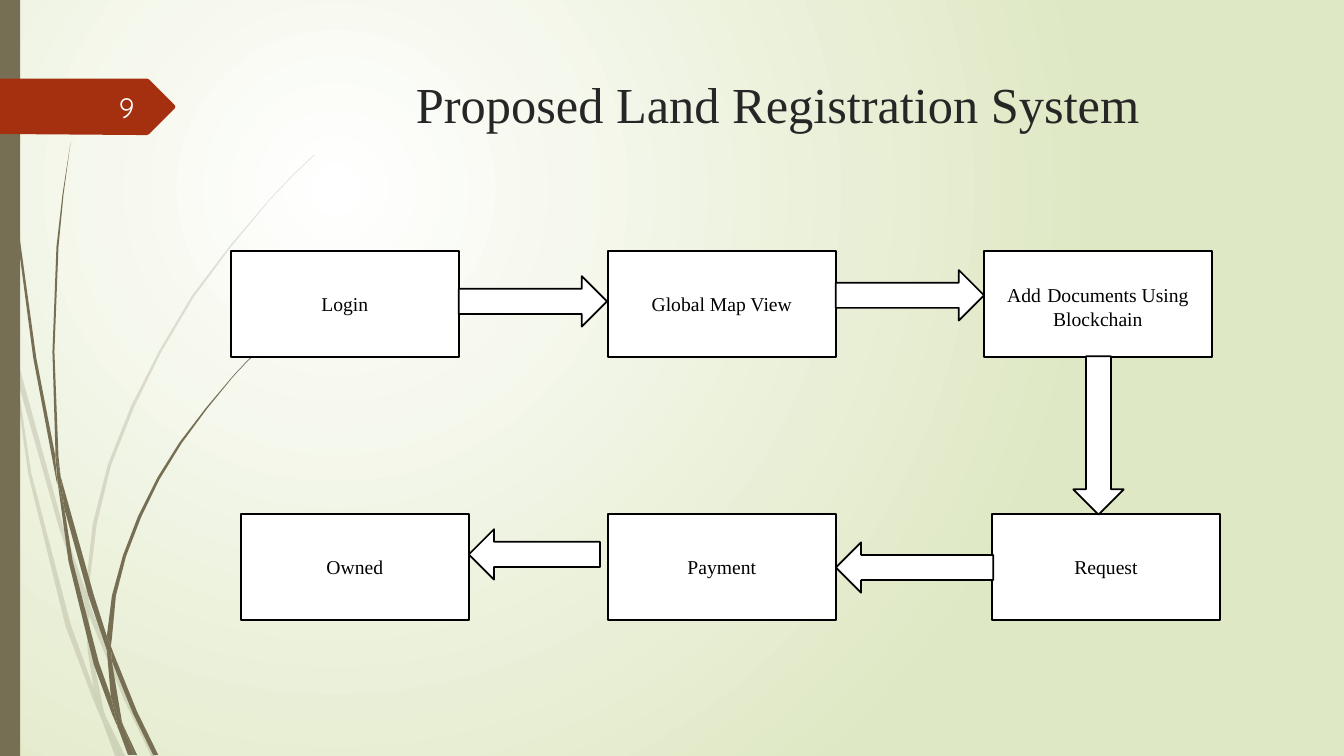
import lxml.etree
import pptx
import pptx.dml.color
import pptx.enum.shapes
import pptx.enum.text
import pptx.oxml
import pptx.oxml.ns
import pptx.util

Inches = pptx.util.Inches
RGBColor = pptx.dml.color.RGBColor
MSO_SHAPE = pptx.enum.shapes.MSO_SHAPE
PP_ALIGN = pptx.enum.text.PP_ALIGN
MSO_ANCHOR = pptx.enum.text.MSO_ANCHOR
qn = pptx.oxml.ns.qn

OLIVE = RGBColor(0x76, 0x6F, 0x54)
RUST = RGBColor(0xA5, 0x30, 0x10)
CHARCOAL = RGBColor(0x26, 0x26, 0x26)
BLACK = RGBColor(0, 0, 0)
WHITE = RGBColor(255, 255, 255)
NUMBER_WHITE = RGBColor(0xFE, 0xFF, 0xFF)
SERIF = "Times New Roman"

BOX_WIDTH, BOX_HEIGHT, ARROW_THICKNESS = 2.26, 1.05, 0.5
TOP_ROW, BOTTOM_ROW = 2.49, 5.1

GRADIENT = """<a:gradFill xmlns:a="http://schemas.openxmlformats.org/drawingml/2006/main"
 rotWithShape="1"><a:gsLst><a:gs pos="0"><a:srgbClr val="FFFFFF"/></a:gs>
<a:gs pos="100000"><a:srgbClr val="DFE8C4"/></a:gs></a:gsLst>
<a:path path="circle"><a:fillToRect l="50000" t="50000" r="100000" b="100000"/></a:path>
</a:gradFill>"""

# Corner points of the grass blades, in inches.
PALE_BLADES = [
    [(.11, 3.5), (.09, 3.22), (0, 2.82), (0, 2.99), (.1, 3.44)],
    [(.58, 5.22), (.84, 5.99), (.85, 5.86), (.62, 5.2), (.14, 3.45), (.17, 3.76)],
    [(.92, 6.07), (.88, 5.96), (.88, 6.1), (1.23, 6.94), (1.5, 7.5), (1.55, 7.5),
     (1.27, 6.92)],
    [(1.19, 7.5), (1.24, 7.5), (1.05, 7.11)],
    [(.93, 6.83), (.7, 6.19), (.31, 4.69), (.17, 3.76), (.11, 3.5), (.28, 4.7),
     (.65, 6.21), (.92, 6.93), (1.01, 7.14), (.99, 7.07)],
    [(.84, 5.99), (.87, 6.46), (.93, 6.83), (.96, 6.92), (1.05, 7.11), (1.03, 7.06),
     (.91, 6.46), (.88, 6.1), (.88, 6.08)],
    [(.88, 5.84), (.96, 5.2), (1.1, 4.62), (1.33, 4.04), (1.6, 3.49), (1.92, 2.95),
     (2.29, 2.45), (2.68, 1.98), (2.9, 1.75), (3.12, 1.54), (3.12, 1.53), (2.89, 1.75),
     (2.68, 1.97), (2.28, 2.44), (1.9, 2.94), (1.58, 3.48), (1.3, 4.03), (1.07, 4.61),
     (.92, 5.2), (.85, 5.84), (.85, 5.86), (.88, 5.96)],
    [(1.01, 7.14), (1.14, 7.5), (1.19, 7.5)],
    [(.88, 6.08), (.88, 6.1), (.88, 5.96), (.85, 5.86), (.84, 5.99)],
    [(.96, 6.92), (.93, 6.83), (.99, 7.07), (1.01, 7.14), (1.19, 7.5), (1.05, 7.11)],
]
DARK_BLADES = [
    [(.07, 1.1), (.17, 2.33), (.33, 3.55), (.56, 4.77), (.57, 4.81), (.55, 4.57),
     (.55, 4.53), (.36, 3.55), (.19, 2.32), (.08, 1.09), (.05, .48), (.04, 0),
     (.03, 0), (.04, .48)],
    [(.88, 5.92), (1.06, 6.45), (1.06, 6.31), (.93, 5.9), (.6, 4.72), (.64, 5.05)],
    [(1.13, 6.49), (1.1, 6.41), (1.11, 6.56), (1.32, 7.08), (1.52, 7.49), (1.57, 7.49),
     (1.36, 7.06)],
    [(1.1, 6.91), (.98, 6.57), (.72, 5.56), (.64, 5.05), (.57, 4.77), (.68, 5.57),
     (.93, 6.59), (1.11, 7.08), (1.17, 7.22), (1.16, 7.17)],
    [(.6, 4.72), (.58, 4.53), (.54, 3.49), (.58, 2.45), (.63, 1.93), (.7, 1.41),
     (.62, 1.93), (.56, 2.45), (.52, 3.49), (.55, 4.49)],
    [(1.33, 7.49), (1.36, 7.49), (1.22, 7.19)],
    [(.57, 4.77), (.64, 5.05), (.6, 4.72), (.55, 4.49), (.55, 4.53)],
    [(1.11, 6.33), (1.15, 5.91), (1.25, 5.52), (1.4, 5.13), (1.58, 4.76), (1.8, 4.4),
     (2.05, 4.06), (2.31, 3.74), (2.45, 3.59), (2.61, 3.44), (2.6, 3.44), (2.45, 3.58),
     (2.31, 3.73), (2.04, 4.05), (1.78, 4.39), (1.56, 4.74), (1.37, 5.12), (1.22, 5.51),
     (1.11, 5.91), (1.06, 6.31), (1.1, 6.41)],
    [(1.17, 7.22), (1.27, 7.49), (1.31, 7.49)],
    [(1.06, 6.45), (1.1, 6.91), (1.16, 7.06), (1.22, 7.19), (1.21, 7.16), (1.11, 6.56),
     (1.09, 6.51)],
    [(1.06, 6.45), (1.09, 6.51), (1.11, 6.56), (1.1, 6.41), (1.06, 6.31)],
    [(1.16, 7.06), (1.1, 6.91), (1.16, 7.17), (1.17, 7.22), (1.3, 7.49), (1.33, 7.49),
     (1.22, 7.19)],
]
NUMBER_TAG = [(0, .78), (1.46, .78), (1.48, .79), (1.73, 1.04), (1.74, 1.06),
              (1.73, 1.08), (1.48, 1.33), (1.46, 1.34), (1.36, 1.34), (0, 1.33)]


def paint(shape, fill, outline=None):
    """Give a shape a plain fill, an optional outline and no shadow."""
    shape.shadow.inherit = False
    shape.fill.solid()
    shape.fill.fore_color.rgb = fill
    if outline is None:
        shape.line.fill.background()
    else:
        shape.line.color.rgb = outline
        shape.line.width = pptx.util.Pt(1.25)


def format_text(shape, size, color, font, align, anchor):
    """Format every run of a shape's first paragraph."""
    shape.text_frame.word_wrap = True
    shape.text_frame.vertical_anchor = anchor
    para = shape.text_frame.paragraphs[0]
    para.alignment = align
    for span in para.runs:
        span.font.size = pptx.util.Pt(size)
        span.font.name = font
        span.font.color.rgb = color


def set_background(page):
    """Fill the page with a round white-to-green gradient."""
    page.background.fill.solid()
    solid = page.element.find(".//" + qn("p:bgPr")).find(qn("a:solidFill"))
    solid.getparent().replace(solid, pptx.oxml.parse_xml(GRADIENT))


def add_outline(page, points, fill, opacity=100):
    """Draw a closed outline through points given in inches."""
    corners = [(Inches(x), Inches(y)) for x, y in points]
    builder = page.shapes.build_freeform(*corners[0])
    builder.add_line_segments(corners[1:], close=True)
    shape = builder.convert_to_shape()
    paint(shape, fill)
    if opacity < 100:
        color = shape.element.spPr.find(qn("a:solidFill")).find(qn("a:srgbClr"))
        lxml.etree.SubElement(color, qn("a:alpha")).set("val", str(opacity * 1000))


def add_box(page, left, top, *pieces):
    """Add one step of the flow, its label made of one or more runs."""
    box = page.shapes.add_shape(MSO_SHAPE.RECTANGLE, Inches(left), Inches(top),
                                Inches(BOX_WIDTH), Inches(BOX_HEIGHT))
    paint(box, WHITE, BLACK)
    para = box.text_frame.paragraphs[0]
    for piece in pieces:
        para.add_run().text = piece
    format_text(box, 14, BLACK, SERIF, PP_ALIGN.CENTER, MSO_ANCHOR.MIDDLE)
    return box


def add_arrow(page, left, top, length, rotation=0):
    """Add a block arrow; the frame is given before rotation."""
    arrow = page.shapes.add_shape(MSO_SHAPE.RIGHT_ARROW, Inches(left), Inches(top),
                                  Inches(length), Inches(ARROW_THICKNESS))
    arrow.rotation = rotation
    paint(arrow, WHITE, BLACK)


def add_decoration(page):
    """Add the grass, the side bar and the numbered tag."""
    for blade in PALE_BLADES:
        add_outline(page, blade, OLIVE, 20)
    for blade in DARK_BLADES:
        add_outline(page, blade, OLIVE)
    side_bar = page.shapes.add_shape(MSO_SHAPE.RECTANGLE, 0, 0, Inches(0.2), Inches(7.5))
    paint(side_bar, OLIVE)
    add_outline(page, NUMBER_TAG, RUST)
    number = page.shapes.add_textbox(Inches(0.58), Inches(0.86), Inches(0.85), Inches(0.4))
    number.text_frame.text = "9"
    format_text(number, 20, NUMBER_WHITE, "Quicksand", PP_ALIGN.RIGHT, MSO_ANCHOR.MIDDLE)


def add_title(page, text):
    """Place and format the title."""
    title = page.shapes.title
    title.left, title.top = Inches(2.84), Inches(0.68)
    title.width, title.height = Inches(9.75), Inches(1.4)
    title.text_frame.text = text
    format_text(title, 36, CHARCOAL, SERIF, PP_ALIGN.CENTER, MSO_ANCHOR.TOP)


def main():
    """Build the slide and save it."""
    deck = pptx.Presentation()
    deck.slide_width, deck.slide_height = Inches(13.33), Inches(7.5)
    page = deck.slides.add_slide(deck.slide_layouts[5])
    set_background(page)
    add_decoration(page)
    add_title(page, "Proposed Land Registration System")

    add_box(page, 2.29, TOP_ROW, "Login")
    add_box(page, 6.03, TOP_ROW, "Global Map View")
    documents = add_box(page, 9.76, TOP_ROW, "Add", " ", "Documents Using Blockchain")
    documents.text_frame.paragraphs[0].runs[1].font.size = pptx.util.Pt(18)
    add_box(page, 9.84, BOTTOM_ROW, "Request")
    add_box(page, 6.03, BOTTOM_ROW, "Payment")
    add_box(page, 2.39, BOTTOM_ROW, "Owned")

    add_arrow(page, 4.55, 2.74, 1.47)
    add_arrow(page, 8.29, 2.68, 1.47)
    add_arrow(page, 10.11, 4.07, 1.57, 90)
    add_arrow(page, 8.29, 5.38, 1.56, 180)
    add_arrow(page, 4.65, 5.25, 1.3, 180)
    deck.save("out.pptx")


main()
